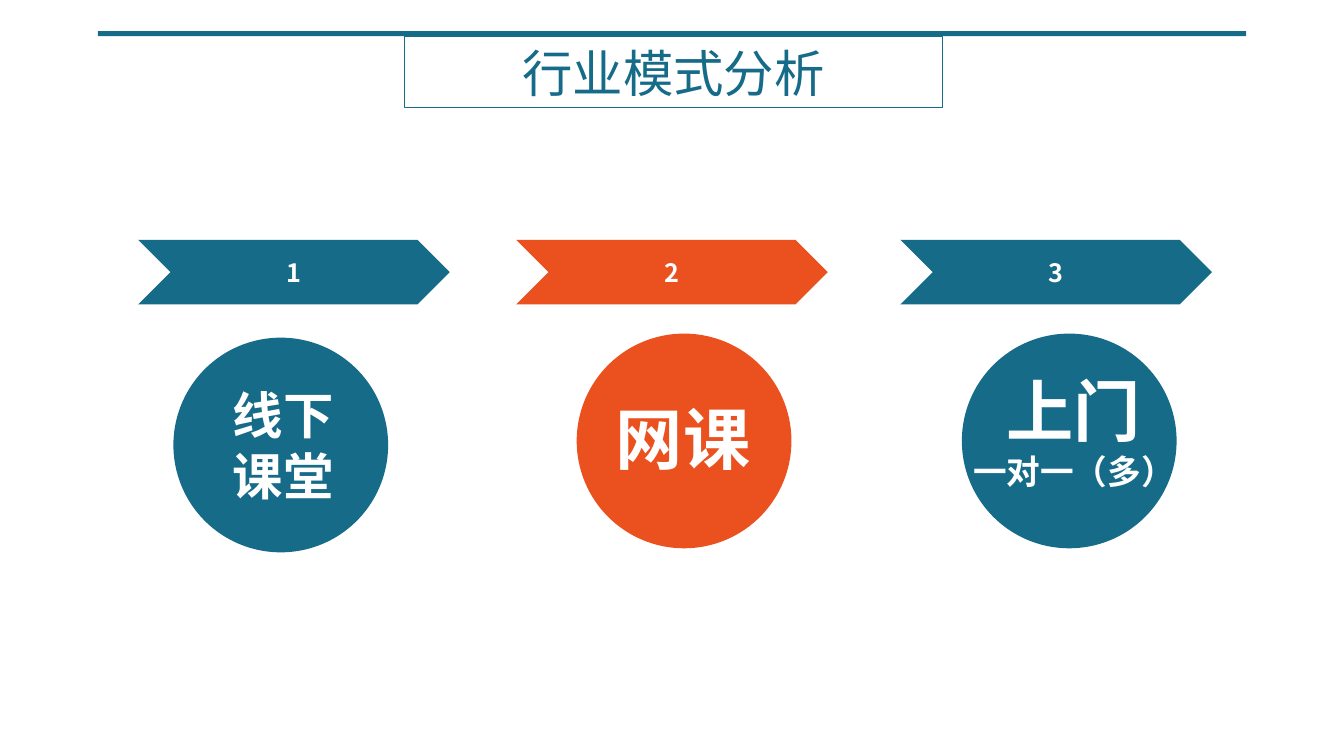
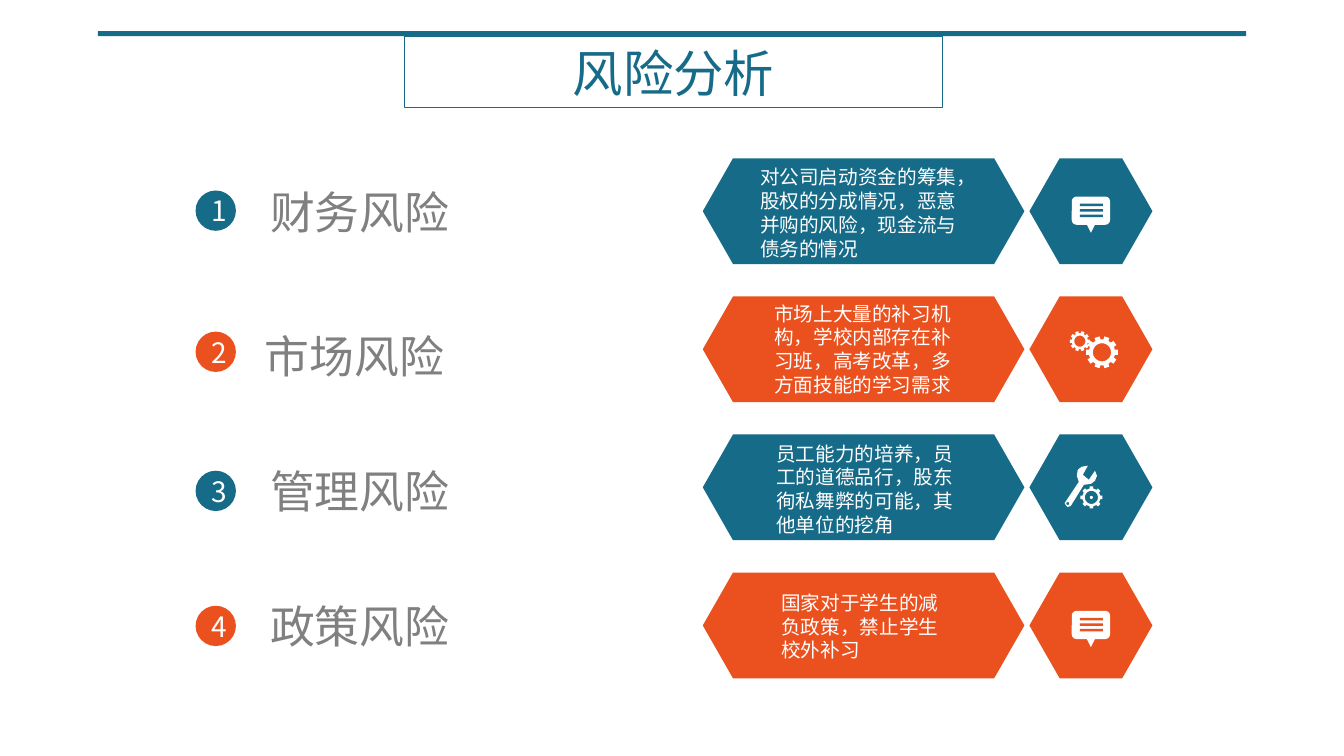
from math import cos, pi, sin

from lxml.etree import SubElement
from pptx import Presentation
from pptx.dml.color import RGBColor
from pptx.enum.lang import MSO_LANGUAGE_ID
from pptx.enum.shapes import MSO_SHAPE
from pptx.enum.text import MSO_ANCHOR, MSO_AUTO_SIZE, PP_ALIGN
from pptx.oxml.ns import qn
from pptx.util import Inches, Pt

TEAL = RGBColor(0x16, 0x6B, 0x88)
ORANGE = RGBColor(0xEB, 0x51, 0x1F)
GRAY = RGBColor(0x80, 0x80, 0x80)
WHITE = RGBColor(0xFF, 0xFF, 0xFF)
ICON_WHITE = RGBColor(0xFE, 0xFE, 0xFE)
ACCENTS = (TEAL, ORANGE)
TITLE_FONT = "Noto Sans CJK JP"
BODY_FONT = "Noto Sans CJK SC"
LINE_HEIGHT = 1.21

# Content: chevron left, circle (left, top), label box, label lines with sizes
MODES = [
    (1.37, (1.72, 3.35), (1.37, 3.76, 2.88, 1.31), [("线下", 36), ("课堂", 36)]),
    (5.12, (5.72, 3.31), (6, 3.89, 1.55, 0.91), [("网课", 48)]),
    (8.93, (9.54, 3.31), (9.54, 3.61, 2.22, 1.31), [("上门", 48), ("一对一（多）", 24)]),
]

# Content: risk, its (left, top), number top, detail, its (left, top, width), icon
RISKS = [
    ("财务风险", (2.58, 1.78), 1.89,
     "对公司启动资金的筹集，股权的分成情况，恶意并购的风险，现金流与债务的情况",
     (7.44, 1.59, 2.25), "speech"),
    ("市场风险", (2.53, 3.21), 3.29,
     "市场上大量的补习机构，学校内部存在补习班，高考改革，多方面技能的学习需求",
     (7.58, 2.94, 2.11), "gears"),
    ("管理风险", (2.58, 4.55), 4.67,
     "员工能力的培养，员工的道德品行，股东徇私舞弊的可能，其他单位的挖角",
     (7.6, 4.33, 2.09), "tools"),
    ("政策风险", (2.58, 5.89), 6.01,
     "国家对于学生的减负政策，禁止学生校外补习",
     (7.65, 5.81, 1.84), "speech"),
]
ROW_TOP, ROW_STEP, HEXAGON_HEIGHT = 1.57, 1.37, 1.05

# Wrench outline, measured from the top left of its row
WRENCH = [
    (10.56, 0.68), (10.7, 0.47), (10.68, 0.41), (10.69, 0.35), (10.73, 0.32),
    (10.79, 0.31), (10.74, 0.4), (10.8, 0.45), (10.86, 0.36), (10.88, 0.41),
    (10.86, 0.46), (10.82, 0.49), (10.75, 0.5), (10.62, 0.71), (10.59, 0.72),
    (10.57, 0.7),
]


def write(shape, lines, color, font=BODY_FONT, bold=False, align=PP_ALIGN.CENTER):
    frame = shape.text_frame
    frame.text = "\n".join(text for text, _ in lines)
    for paragraph, (_, size) in zip(frame.paragraphs, lines):
        paragraph.alignment = align
        paragraph.line_spacing = Pt(size * LINE_HEIGHT)
        run = paragraph.runs[0]
        run.font.size = Pt(size)
        run.font.bold = bold
        run.font.color.rgb = color
        run.font.name = font
        run.font.language_id = MSO_LANGUAGE_ID.SIMPLIFIED_CHINESE
        SubElement(run._r.get_or_add_rPr(), qn("a:ea"), typeface=font)


def paint(shape, fill):
    shape.shadow.inherit = False
    shape.fill.solid()
    shape.fill.fore_color.rgb = fill
    shape.line.fill.background()
    return shape


def add_solid(slide, kind, box, fill):
    return paint(slide.shapes.add_shape(kind, *map(Inches, box)), fill)


def add_text(slide, box, lines, color, wrap=True, **style):
    label = slide.shapes.add_textbox(*map(Inches, box))
    write(label, lines, color, **style)
    label.text_frame.word_wrap = wrap
    label.text_frame.auto_size = MSO_AUTO_SIZE.SHAPE_TO_FIT_TEXT


def add_outline(slide, *contours):
    """Draw closed contours as one shape; inner contours become holes."""
    contours = [[(Inches(x), Inches(y)) for x, y in points] for points in contours]
    builder = slide.shapes.build_freeform(*contours[0][0])
    for index, points in enumerate(contours):
        if index:
            builder.move_to(*points[0])
        builder.add_line_segments(points[1:], close=True)
    paint(builder.convert_to_shape(), ICON_WHITE)


def ring(x, y, radius, steps=32):
    angles = [2 * pi * step / steps for step in range(steps)]
    return [(x + radius * cos(a), y + radius * sin(a)) for a in angles]


def add_gear(slide, x, y, tip, root, hole, teeth):
    outline = []
    for tooth in range(teeth):
        middle = pi + 2 * pi * tooth / teeth
        for radius, offset in ((root, -0.2), (tip, -0.16), (tip, 0.16), (root, 0.2)):
            angle = middle + offset
            outline.append((x + radius * cos(angle), y + radius * sin(angle)))
    add_outline(slide, outline, ring(x, y, hole))


# Row icons
def speech(slide, top, color):
    bubble = (10.63, top + 0.38, 0.38, 0.28)
    add_solid(slide, MSO_SHAPE.ROUNDED_RECTANGLE, bubble, ICON_WHITE)
    add_solid(slide, MSO_SHAPE.FLOWCHART_MERGE, (10.77, top + 0.64, 0.1, 0.1), ICON_WHITE)
    for line in range(3):
        stripe = (10.71, top + 0.45 + 0.055 * line, 0.23, 0.025)
        add_solid(slide, MSO_SHAPE.RECTANGLE, stripe, color)


def gears(slide, top, color):
    add_gear(slide, 10.93, top + 0.555, 0.16, 0.13, 0.09, 10)
    add_gear(slide, 10.71, top + 0.445, 0.1, 0.08, 0.055, 10)


def tools(slide, top, color):
    wrench = [(x, top + y) for x, y in WRENCH]
    add_outline(slide, wrench, ring(10.59, top + 0.685, 0.015, 12))
    add_gear(slide, 10.825, top + 0.625, 0.11, 0.09, 0.065, 8)
    add_solid(slide, MSO_SHAPE.OVAL, (10.81, top + 0.61, 0.03, 0.03), ICON_WHITE)


ICONS = {"speech": speech, "gears": gears, "tools": tools}


def add_titled_slide(deck, title):
    slide = deck.slides.add_slide(deck.slide_layouts[6])
    add_solid(slide, MSO_SHAPE.RECTANGLE, (0.97, 0.31, 11.39, 0.05), TEAL)
    frame = add_solid(slide, MSO_SHAPE.RECTANGLE, (4.01, 0.36, 5.34, 0.71), WHITE)
    frame.fill.background()
    frame.line.color.rgb = TEAL
    frame.line.width = Pt(1)
    frame.text_frame.vertical_anchor = MSO_ANCHOR.TOP
    write(frame, [(title, 36)], TEAL, font=TITLE_FONT)
    return slide


def add_modes(deck):
    slide = add_titled_slide(deck, "行业模式分析")
    for index, (left, circle, label, lines) in enumerate(MODES):
        color = ACCENTS[index % 2]
        add_solid(slide, MSO_SHAPE.OVAL, (*circle, 2.13, 2.13), color)
        step = add_solid(slide, MSO_SHAPE.CHEVRON, (left, 2.38, 3.09, 0.64), color)
        write(step, [(str(index + 1), 18)], WHITE, bold=True)
        add_text(slide, label, lines, WHITE, wrap=False, bold=True)


def add_risks(deck):
    slide = add_titled_slide(deck, "风险分析")
    for index, (risk, place, number_top, detail, detail_box, icon) in enumerate(RISKS):
        color = ACCENTS[index % 2]
        top = ROW_TOP + index * ROW_STEP

        # Number and risk name
        number = add_solid(slide, MSO_SHAPE.OVAL, (1.94, number_top, 0.4, 0.4), color)
        write(number, [(str(index + 1), 20)], WHITE)
        add_text(slide, (*place, 4.16, 0.64), [(risk, 32)], GRAY, align=PP_ALIGN.LEFT)

        # Detail and icon hexagons
        for left, width in ((6.97, 3.19), (10.21, 1.22)):
            hexagon = add_solid(slide, MSO_SHAPE.HEXAGON,
                                (left, top, width, HEXAGON_HEIGHT), color)
            hexagon.adjustments[0] = 0.286
        add_text(slide, (*detail_box, 1.04), [(detail, 14)], WHITE, align=PP_ALIGN.LEFT)
        ICONS[icon](slide, top, color)


def main():
    deck = Presentation()
    deck.slide_width, deck.slide_height = Inches(13.33), Inches(7.5)
    add_modes(deck)
    add_risks(deck)
    deck.save("out.pptx")


if __name__ == "__main__":
    main()
